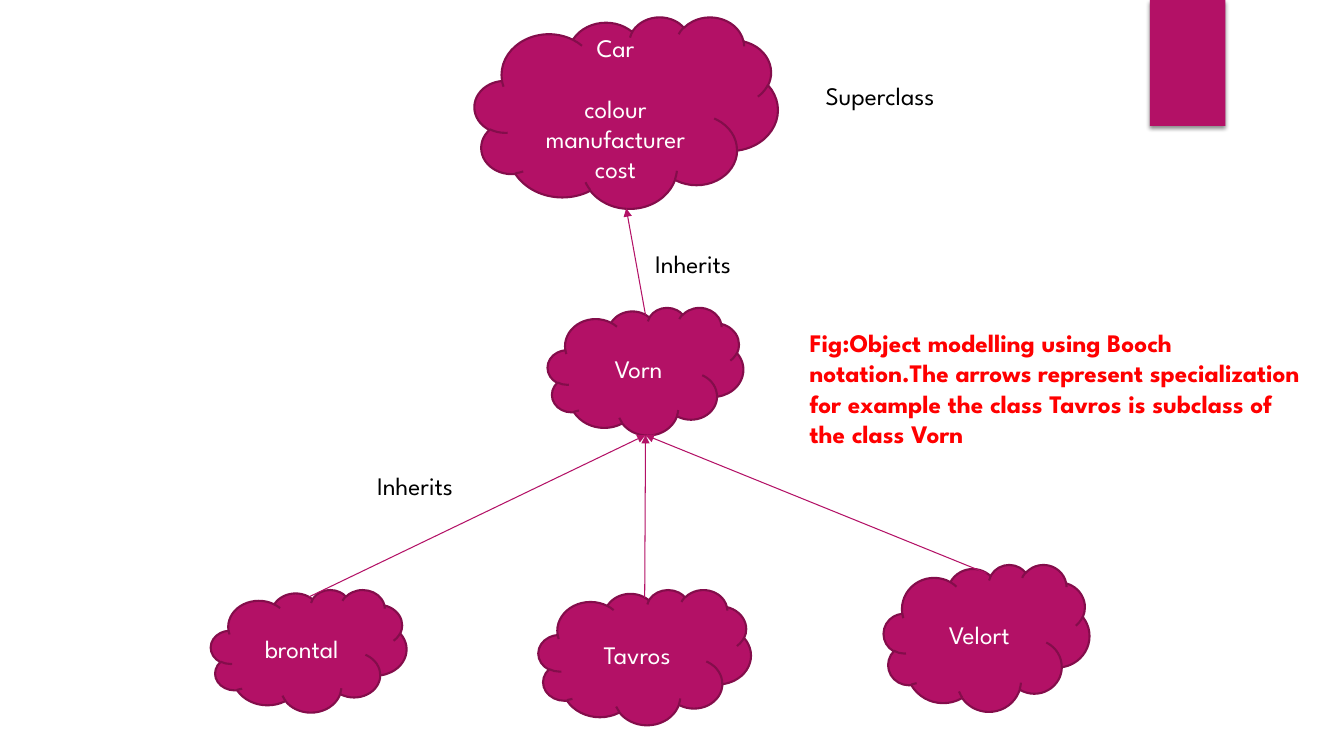
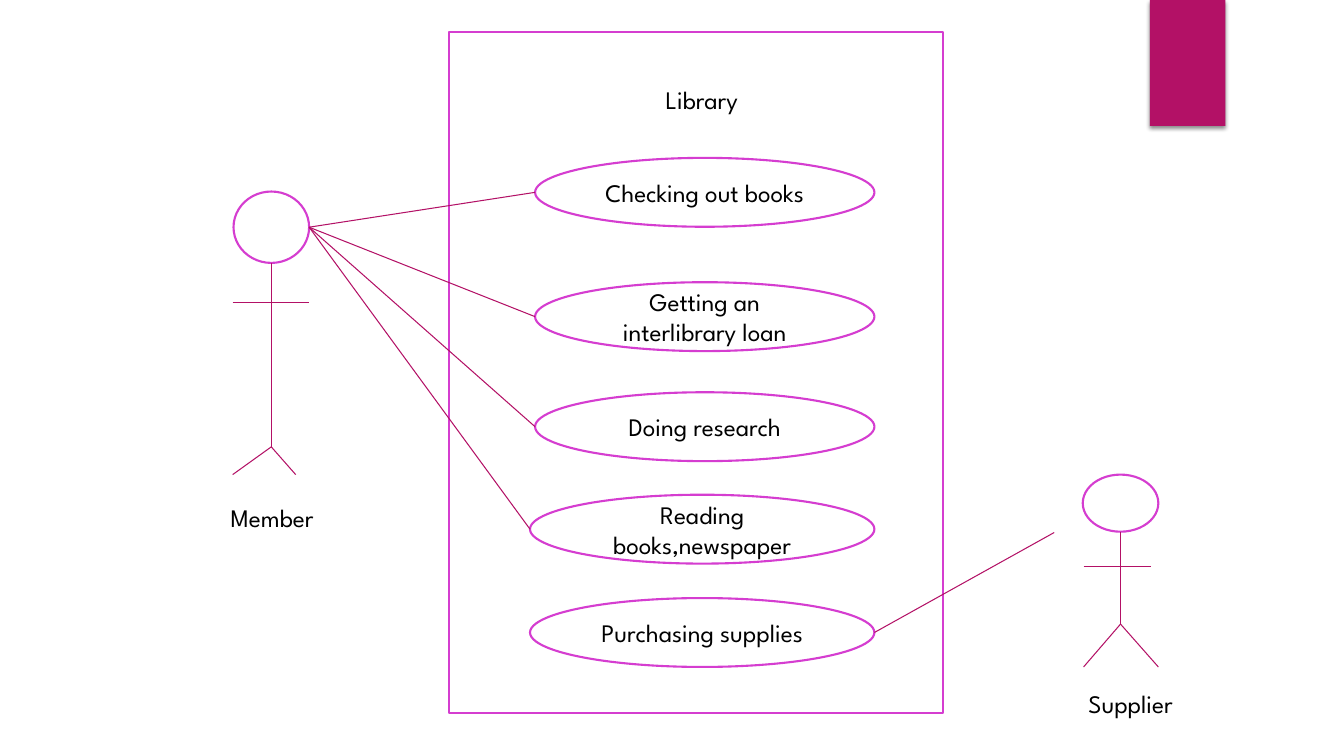
from dataclasses import dataclass

from lxml import etree
from pptx import Presentation
from pptx import util as u
from pptx.dml.color import RGBColor
from pptx.enum import shapes, text
from pptx.oxml.ns import qn

HUES = {
    "band": "B31166",
    "edge": "840D4B",
    "ring": "D53DD0",
    "page": "FFFFFF",
    "ink": "000000",
    "note": "FF0000",
}
FONT = "League Spartan"
SIZE = u.Pt(18)
GAP = u.Pt(21.6)
COLS, ROWS = 160, 90
WIDE, HIGH = u.Inches(13.333), u.Inches(7.5)
KIND = shapes.MSO_SHAPE
LEFT, MID = text.PP_ALIGN.LEFT, text.PP_ALIGN.CENTER

Point = tuple[float, float]


@dataclass(frozen=True)
class Box:
    x: float
    y: float
    w: float
    h: float

    def at(self, col: float, row: float) -> Point:
        return self.x + col * self.w, self.y + row * self.h

    def span(self) -> tuple[int, int, int, int]:
        return across(self.x), down(self.y), across(self.w), down(self.h)


@dataclass(frozen=True)
class Style:
    fill: str
    line: str | None
    ink: str


@dataclass(frozen=True)
class Label:
    words: str
    box: Box
    align: text.PP_ALIGN = MID
    hue: str = "ink"
    bold: bool = False


@dataclass(frozen=True)
class Cloud:
    words: str
    box: Box
    more: tuple[str, ...] = ()

    def top(self) -> Point:
        return self.box.at(0.5, 0.06)

    def base(self) -> Point:
        return self.box.at(0.5, 1)


@dataclass(frozen=True)
class Actor:
    head: Box
    arms: tuple[float, float, float]
    hip: Point
    feet: tuple[Point, Point]
    label: Label


@dataclass(frozen=True)
class Use:
    words: str
    box: Box


BAND = Style("band", None, "page")
PUFF = Style("band", "edge", "page")
OPEN = Style("page", "ring", "ink")

CAR = Cloud("Car", Box(56.5, 2, 36.1, 22.8), ("colour", "manufacturer", "cost"))
MAKE = Cloud("Vorn", Box(65.2, 36.6, 23.3, 15.2))
MODELS = [
    Cloud("brontal", Box(25.1, 70.2, 23.3, 14.6)),
    Cloud("Tavros", Box(64.1, 70.2, 25.3, 16.1)),
    Cloud("Velort", Box(105.2, 67.2, 24.5, 17.5)),
]
NOTES = [
    Label("Superclass", Box(97.1, 9, 20.4, 4.8), LEFT),
    Label("Inherits", Box(76.8, 29, 13.8, 4.8), LEFT),
    Label("Inherits", Box(43.7, 55.4, 12.8, 4.8), LEFT),
    Label(
        "Fig:Object modelling using Booch notation.The arrows represent "
        "specialization for example the class Tavros is subclass of the class Vorn",
        Box(95.2, 38.4, 62.4, 15.7), LEFT, "note", True,
    ),
]

FRAME = Box(53.5, 3.8, 58.8, 81.1)
NAME = Label("Library", Box(67.7, 9.5, 31.7, 4.8))
MEMBER = Actor(
    Box(27.8, 22.8, 9, 8.5), (27.7, 36.8, 36), (32.3, 53.2),
    ((27.7, 56.5), (35.2, 56.5)), Label("Member", Box(18, 59.2, 28.8, 4.8)),
)
SELLER = Actor(
    Box(128.9, 56.5, 9, 6.8), (129, 137, 67.4), (133.4, 74.3),
    ((129, 79.4), (137.9, 79.4)), Label("Supplier", Box(120.2, 81.4, 28.8, 4.8)),
)
EDGE = 104.1
USES = [
    Use(words, Box(x, y, EDGE - x, 8.2))
    for words, x, y in (
        ("Checking out books", 63.7, 18.8),
        ("Getting an interlibrary loan", 63.7, 33.6),
        ("Doing research", 63.7, 46.7),
        ("Reading books,newspaper", 63.1, 58.9),
        ("Purchasing supplies", 63.1, 71.2),
    )
]
SUPPLY = (125.5, 63.4)


def across(cols: float) -> int:
    return round(WIDE * cols / COLS)


def down(rows: float) -> int:
    return round(HIGH * rows / ROWS)


def tint(key: str) -> RGBColor:
    return RGBColor.from_string(HUES[key])


def write(frame, lines: tuple[str, ...], hue: str, align=MID, bold=False) -> None:
    frame.word_wrap = True
    for i, line in enumerate(lines):
        para = frame.add_paragraph() if i else frame.paragraphs[0]
        para.text = line
        para.alignment = align
        if i == 1:
            para.space_before = GAP
        font = para.font
        font.name, font.size, font.bold = FONT, SIZE, bold
        font.color.rgb = tint(hue)


def draw(slide, kind: KIND, box: Box, style: Style, *lines: str):
    shape = slide.shapes.add_shape(kind, *box.span())
    shape.shadow.inherit = False
    shape.fill.solid()
    shape.fill.fore_color.rgb = tint(style.fill)
    if style.line:
        shape.line.color.rgb = tint(style.line)
        shape.line.width = u.Pt(1.5)
    else:
        shape.line.fill.background()
    if lines:
        shape.text_frame.vertical_anchor = text.MSO_ANCHOR.MIDDLE
        write(shape.text_frame, lines, style.ink)
    return shape


def put(slide, label: Label) -> None:
    frame = slide.shapes.add_textbox(*label.box.span()).text_frame
    write(frame, (label.words,), label.hue, label.align, label.bold)
    frame.auto_size = text.MSO_AUTO_SIZE.SHAPE_TO_FIT_TEXT


def link(slide, start: Point, end: Point, arrow: bool = False) -> None:
    line = slide.shapes.add_connector(
        shapes.MSO_CONNECTOR.STRAIGHT,
        across(start[0]), down(start[1]), across(end[0]), down(end[1]),
    )
    line.line.color.rgb = tint("band")
    line.line.width = u.Pt(0.75)
    if arrow:
        etree.SubElement(line.line._get_or_add_ln(), qn("a:tailEnd"), type="triangle")
    etree.SubElement(line.element.spPr, qn("a:effectLst"))


def puff(slide, cloud: Cloud) -> None:
    draw(slide, KIND.CLOUD, cloud.box, PUFF, cloud.words, *cloud.more)


def pose(slide, actor: Actor) -> None:
    draw(slide, KIND.OVAL, actor.head, OPEN)
    link(slide, actor.head.at(0.5, 1), actor.hip)
    left, right, row = actor.arms
    link(slide, (left, row), (right, row))
    for foot in actor.feet:
        link(slide, actor.hip, foot)
    put(slide, actor.label)


def brand(slide) -> None:
    band = draw(slide, KIND.RECTANGLE, Box(136.9, 0, 9, 15), BAND)
    glow = etree.SubElement(
        band.element.spPr.find(qn("a:effectLst")), qn("a:outerShdw"),
        blurRad=str(u.Pt(3)), dist=str(u.Pt(2)), dir="5400000", rotWithShape="0",
    )
    hue = etree.SubElement(glow, qn("a:srgbClr"), val=HUES["ink"])
    etree.SubElement(hue, qn("a:alpha"), val="45000")
    slide.slide_layout.shapes.element.append(band.element)


def classes(slide) -> None:
    for cloud in (CAR, MAKE, *MODELS):
        puff(slide, cloud)
    for model in MODELS:
        link(slide, model.top(), MAKE.base(), True)
    link(slide, MAKE.top(), CAR.base(), True)
    for note in NOTES:
        put(slide, note)


def library(slide) -> None:
    draw(slide, KIND.RECTANGLE, FRAME, OPEN)
    put(slide, NAME)
    for actor in (MEMBER, SELLER):
        pose(slide, actor)
    for use in USES:
        draw(slide, KIND.OVAL, use.box, OPEN, use.words)
    for use in USES[:-1]:
        link(slide, MEMBER.head.at(1, 0.5), use.box.at(0, 0.5))
    link(slide, USES[-1].box.at(1, 0.5), SUPPLY)


def main() -> None:
    deck = Presentation()
    deck.slide_width, deck.slide_height = WIDE, HIGH
    blank = deck.slide_layouts[6]
    first, second = (deck.slides.add_slide(blank) for _ in range(2))
    brand(first)
    classes(first)
    library(second)
    deck.save("out.pptx")


if __name__ == "__main__":
    main()
